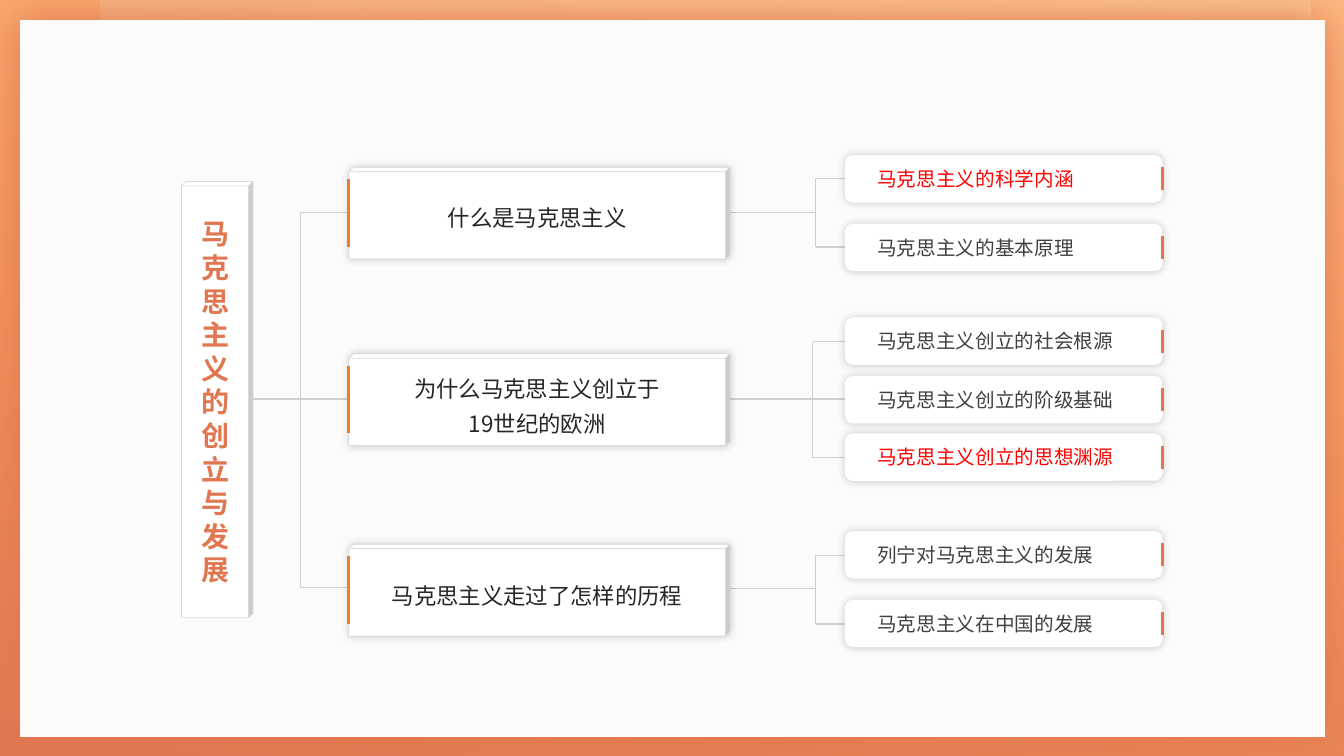
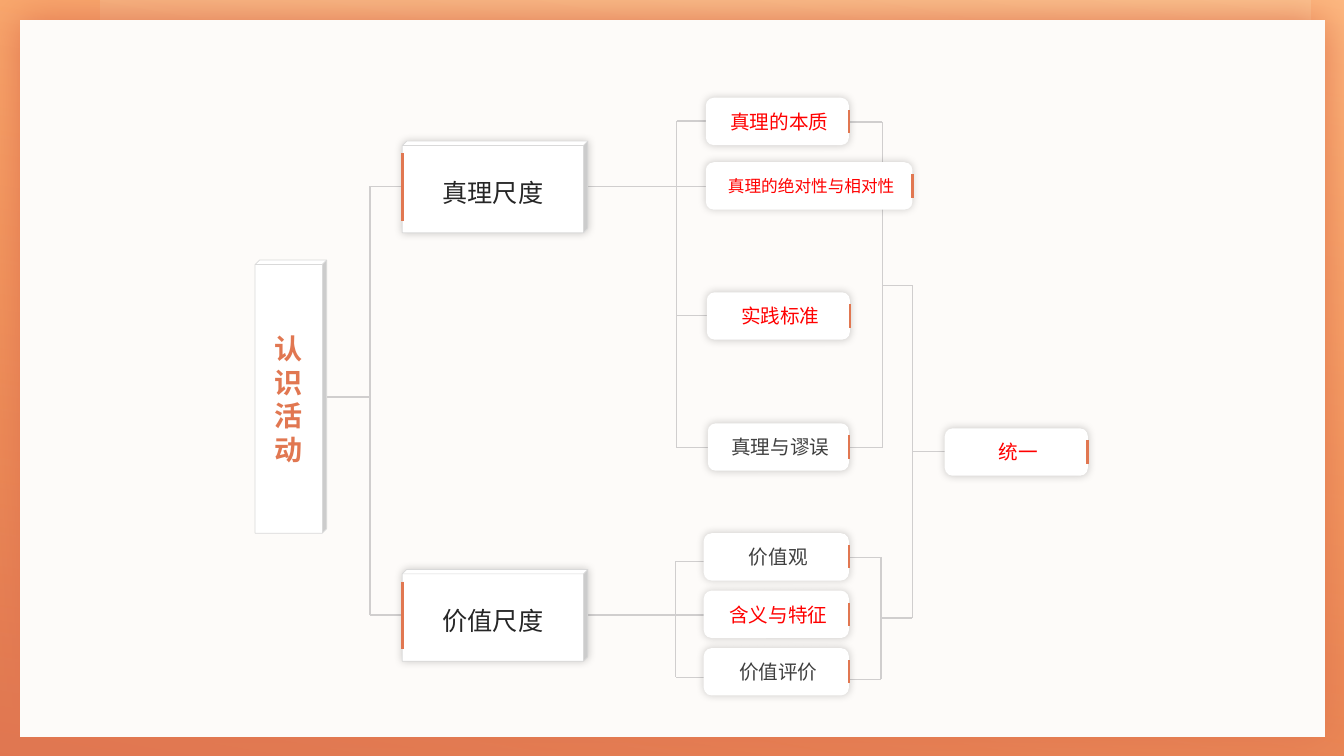
from lxml import etree
from pptx import Presentation
from pptx.dml.color import RGBColor
from pptx.enum import shapes, text
from pptx.oxml import ns
from pptx.util import Inches, Pt

FONT = "Noto Sans CJK SC"
CORAL = RGBColor(0xE1, 0x77, 0x51)
FLAME = RGBColor(0xFD, 0x72, 0x01)
PEACH = RGBColor(0xFD, 0xD5, 0xA6)
ORANGE = RGBColor(0xED, 0x7D, 0x31)
PAPER = RGBColor(0xFD, 0xFB, 0xF9)
WHITE = RGBColor(0xFF, 0xFF, 0xFF)
BLACK = RGBColor(0x00, 0x00, 0x00)
EDGE = RGBColor(0xD9, 0xD9, 0xD9)
RULE = RGBColor(0xD0, 0xCE, 0xCE)
INK = RGBColor(0x26, 0x26, 0x26)
GREY = RGBColor(0x40, 0x40, 0x40)
RED = RGBColor(0xFF, 0x00, 0x00)
WIDTH, HEIGHT = 13.33, 7.5
LEAF_HEIGHT = 0.47
BRANCH_HEIGHT = 0.91
ROOT_WIDTH = 0.71
ROOT_DEPTH = 0.04


def write(shape, content, size, color, bold=False, align=text.PP_ALIGN.CENTER,
          spacing=None, indent=0):
    """Fill a shape with formatted paragraphs, one for each line of content."""
    frame = shape.text_frame
    frame.word_wrap = True
    frame.auto_size = text.MSO_AUTO_SIZE.NONE
    frame.vertical_anchor = text.MSO_ANCHOR.MIDDLE
    for index, line in enumerate(content.split("\n")):
        paragraph = frame.add_paragraph() if index else frame.paragraphs[0]
        paragraph.alignment = align
        if spacing:
            paragraph.line_spacing = spacing
        if indent:
            paragraph._p.get_or_add_pPr().set("marL", str(Inches(indent)))
        run = paragraph.add_run()
        run.text = line
        run.font.size = Pt(size)
        run.font.bold = bold
        run.font.color.rgb = color
        run.font.name = FONT
        etree.SubElement(run._r.get_or_add_rPr(), ns.qn("a:ea"), typeface=FONT)


def curve(start, control_1, control_2, end, steps=30):
    """Return points along a cubic curve, without its start."""
    points = []
    for step in range(1, steps + 1):
        t = step / steps
        weights = ((1 - t) ** 3, 3 * t * (1 - t) ** 2, 3 * t * t * (1 - t), t ** 3)
        corners = (start, control_1, control_2, end)
        points.append(tuple(sum(w * corner[axis] for w, corner in zip(weights, corners))
                            for axis in (0, 1)))
    return points


class MindMap:
    """Draws mind-map slides in one shared style."""

    def __init__(self):
        self.presentation = Presentation()
        self.presentation.slide_width = Inches(WIDTH)
        self.presentation.slide_height = Inches(HEIGHT)
        self.layout = self.presentation.slide_layouts[5]
        self.slide = None

    def new_slide(self):
        """Start a slide; the first one also sets up the shared backdrop."""
        first = self.slide is None
        self.slide = self.presentation.slides.add_slide(self.layout)
        if first:
            self.backdrop()

    def backdrop(self):
        """Place the gradient frame and the paper panel on the layout."""
        base = self.box(shapes.MSO_SHAPE.RECTANGLE, 0, 0, WIDTH, HEIGHT)
        self.gradient(base, FLAME)
        outline = [(WIDTH, 0), (WIDTH, 6.4), (13.15, 6.46)]
        outline += curve((13.15, 6.46), (12.22, 6.75), (11.24, 6.9), (10.22, 6.9))
        outline += curve((10.22, 6.9), (5.97, 6.9), (2.36, 4.21), (0.98, 0.44))
        builder = self.slide.shapes.build_freeform(0.83, 0, scale=Inches(1))
        builder.add_line_segments(outline, close=True)
        glow = builder.convert_to_shape()
        glow.shadow.inherit = False
        glow.line.fill.background()
        self.gradient(glow, PEACH)
        panel = self.box(shapes.MSO_SHAPE.RECTANGLE, 0.2, 0.2, 12.94, 7.11, fill=PAPER)
        self.cast_shadow(panel, CORAL, 100, 30)
        for index, shape in enumerate((base, glow, panel)):
            shape.element.nvSpPr.cNvPr.set("id", str(100 + index))
            self.layout.shapes.element.insert(2 + index, shape.element)

    def gradient(self, shape, end):
        """Fade from coral to a half-transparent end colour."""
        shape.fill.gradient()
        shape.fill.gradient_angle = 80
        stops = shape.fill.gradient_stops
        for stop, color, position in zip(stops, (CORAL, end), (0, 1)):
            stop.color.rgb = color
            stop.position = position
        last = shape.element.findall(".//" + ns.qn("a:srgbClr"))[-1]
        etree.SubElement(last, ns.qn("a:alpha"), val="50000")

    def cast_shadow(self, shape, color=BLACK, opacity=20, blur=6):
        """Give a shape a soft shadow."""
        effects = shape.element.spPr.find(ns.qn("a:effectLst"))
        shadow = etree.SubElement(effects, ns.qn("a:outerShdw"), blurRad=str(Pt(blur)),
                                  dist="0", dir=str(315 * 60000), algn="ctr",
                                  rotWithShape="0")
        tint = etree.SubElement(shadow, ns.qn("a:srgbClr"), val=str(color))
        etree.SubElement(tint, ns.qn("a:alpha"), val=str(opacity * 1000))

    def box(self, kind, left, top, width, height, fill=WHITE, edge=None, depth=None):
        """Add a filled preset shape."""
        shape = self.slide.shapes.add_shape(
            kind, Inches(left), Inches(top), Inches(width), Inches(height))
        shape.shadow.inherit = False
        shape.fill.solid()
        shape.fill.fore_color.rgb = fill
        if edge:
            shape.line.color.rgb = edge
            shape.line.width = Pt(0.5)
        else:
            shape.line.fill.background()
        if depth:
            shape.adjustments[0] = depth
        return shape

    def line(self, x1, y1, x2, y2, color=RULE, width=1):
        """Add a straight line."""
        connector = self.slide.shapes.add_connector(
            shapes.MSO_CONNECTOR.STRAIGHT, Inches(x1), Inches(y1), Inches(x2), Inches(y2))
        connector.line.color.rgb = color
        connector.line.width = Pt(width)
        etree.SubElement(connector.element.spPr, ns.qn("a:effectLst"))

    def fork(self, trunk, tip, rows, stem=None):
        """Join the rows to a vertical trunk, with an optional stem point."""
        for row in rows:
            self.line(tip, row, trunk, row)
        self.line(trunk, rows[0], trunk, rows[-1])
        if stem:
            self.line(trunk, stem[1], *stem)

    def root(self, content, left, top, height):
        """Add the upright title block."""
        self.box(shapes.MSO_SHAPE.CUBE, left, top, ROOT_WIDTH, height,
                 edge=EDGE, depth=0.063)
        title = self.slide.shapes.title
        title.left, title.top = Inches(left), Inches(top + ROOT_DEPTH)
        title.width = Inches(ROOT_WIDTH - ROOT_DEPTH)
        title.height = Inches(height - ROOT_DEPTH)
        write(title, content, 20, CORAL, bold=True)
        self.slide.shapes.element.append(title.element)

    def branch(self, content, left, top, width, size, accent=CORAL, spacing=1.2):
        """Add a main branch block with an accent on its left edge."""
        block = self.box(shapes.MSO_SHAPE.CUBE, left, top, width, BRANCH_HEIGHT,
                         edge=EDGE, depth=0.048)
        self.cast_shadow(block)
        write(block, content, size, INK, spacing=spacing)
        self.line(left, top + 0.12, left, top + 0.79, accent, 2)

    def leaf(self, content, left, top, width, color=GREY, size=14,
             align=text.PP_ALIGN.CENTER, indent=0.04):
        """Add a rounded leaf with an accent on its right edge."""
        card = self.box(shapes.MSO_SHAPE.ROUNDED_RECTANGLE, left, top, width, LEAF_HEIGHT)
        self.cast_shadow(card)
        write(card, content, size, color, align=align, indent=indent)
        right = left + width
        self.line(right, top + 0.12, right, top + 0.35, CORAL, 2)


def origins_slide(deck):
    """Draw the map of the founding and growth of the theory."""
    deck.new_slide()
    deck.fork(8.09, 8.41, (1.77, 2.45), (7.22, 2.11))
    deck.fork(8.06, 8.38, (3.39, 3.96, 4.54), (7.22, 3.96))
    deck.fork(8.09, 8.41, (5.51, 6.19), (7.22, 5.84))
    deck.fork(2.98, 3.46, (2.11, 3.96, 5.83), (2.31, 3.96))
    deck.root("马克思主义的\n创立与发展", 1.8, 1.8, 4.33)
    for content, top, spacing in (
            ("什么是马克思主义", 1.66, 1.2),
            ("为什么马克思主义创立于\n19世纪的欧洲", 3.51, 1.3),
            ("马克思主义走过了怎样的历程", 5.4, 1.2)):
        deck.branch(content, 3.46, top, 3.78, 16, ORANGE, spacing)
    for content, top, color in (
            ("马克思主义的科学内涵", 1.54, RED),
            ("马克思主义的基本原理", 2.22, GREY),
            ("马克思主义创立的社会根源", 3.15, GREY),
            ("马克思主义创立的阶级基础", 3.73, GREY),
            ("马克思主义创立的思想渊源", 4.3, RED),
            ("列宁对马克思主义的发展", 5.27, GREY),
            ("马克思主义在中国的发展", 5.95, GREY)):
        deck.leaf(content, 8.38, top, 3.15, color, align=text.PP_ALIGN.LEFT, indent=0.2)


def knowing_slide(deck):
    """Draw the map of truth and value in knowing."""
    deck.new_slide()
    deck.fork(8.75, 8.42, (1.21, 4.44))
    deck.fork(8.74, 8.42, (5.53, 6.74))
    deck.fork(9.05, 8.75, (2.83, 6.13), (9.49, 4.48))
    deck.fork(6.71, 7.02, (1.2, 1.85, 3.13, 4.44), (5.83, 1.85))
    deck.fork(6.7, 7.02, (5.57, 6.1, 6.72), (5.79, 6.1))
    deck.fork(3.67, 3.99, (1.85, 6.1), (3.24, 3.94))
    deck.root("认识活动", 2.53, 2.58, 2.71)
    for content, top in (("真理尺度", 1.4), ("价值尺度", 5.65)):
        deck.branch(content, 3.99, top, 1.84, 18)
    for content, left, top, width, color, size in (
            ("真理的本质", 7, 0.97, 1.42, RED, 14),
            ("真理的绝对性与相对性", 7, 1.61, 2.05, RED, 11.9),
            ("实践标准", 7.01, 2.9, 1.42, RED, 14),
            ("真理与谬误", 7.02, 4.2, 1.4, GREY, 14),
            ("价值观", 6.98, 5.29, 1.44, GREY, 14),
            ("含义与特征", 6.98, 5.86, 1.44, RED, 14),
            ("价值评价", 6.98, 6.43, 1.44, GREY, 14),
            ("统一", 9.37, 4.25, 1.42, RED, 14)):
        deck.leaf(content, left, top, width, color, size)


def main():
    """Build and save the presentation."""
    deck = MindMap()
    origins_slide(deck)
    knowing_slide(deck)
    deck.presentation.save("out.pptx")


if __name__ == "__main__":
    main()
